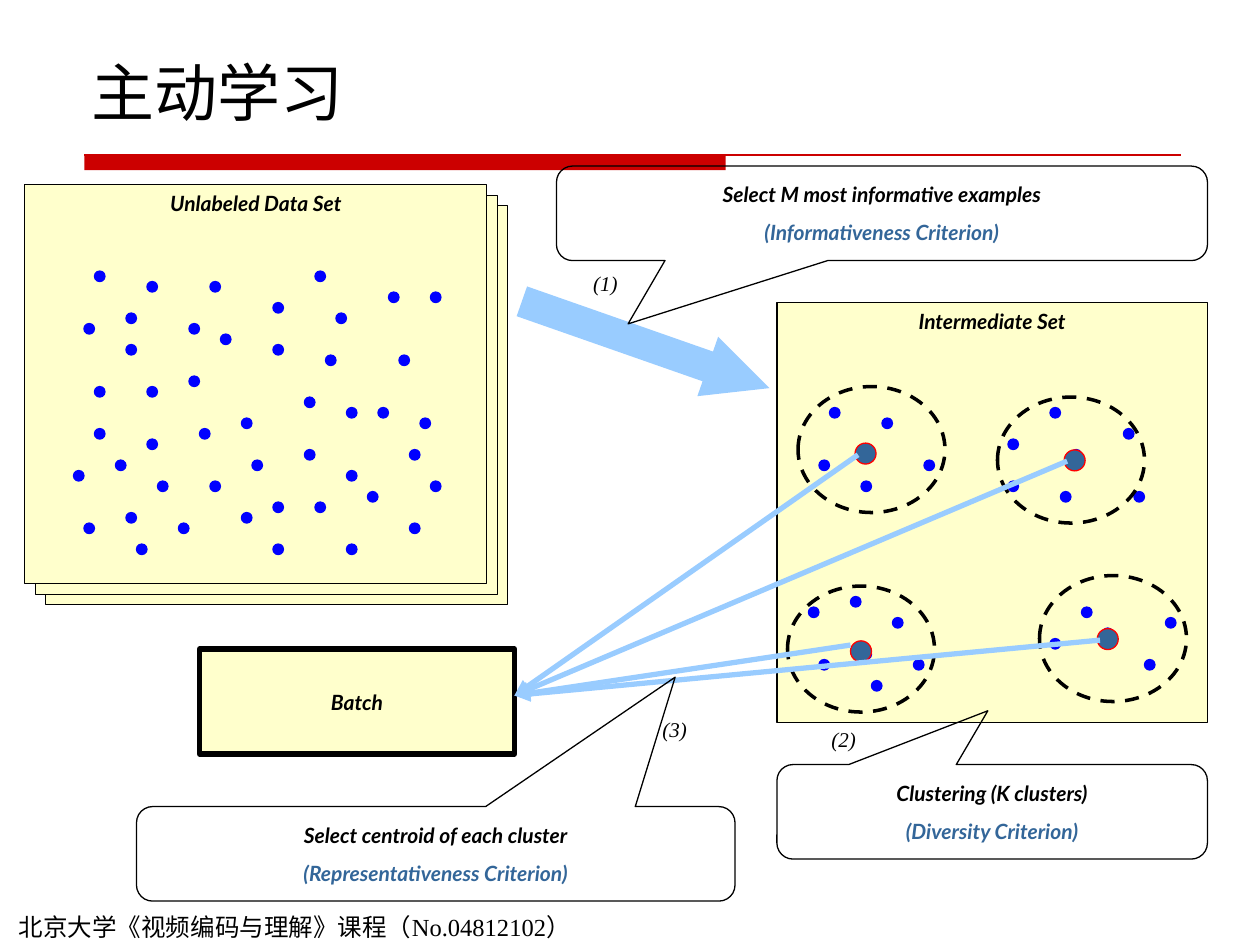
from lxml.etree import SubElement
from pptx import Presentation
from pptx.dml.color import RGBColor
from pptx.enum.dml import MSO_LINE
from pptx.enum.shapes import MSO_CONNECTOR, MSO_SHAPE
from pptx.enum.text import MSO_ANCHOR, PP_ALIGN
from pptx.oxml.ns import qn
from pptx.util import Pt

COLORS = {
    "red": "CC0000", "cream": "FFFFCC", "black": "000000", "dot": "0000FF",
    "steel": "336699", "ring": "FF0000", "sky": "99CCFF",
}
HEADING = {"name": "Lato", "size": Pt(12), "bold": True, "italic": True}
STEP = {"name": "Times New Roman", "size": Pt(12), "italic": True}
TITLE = {"name": "Times New Roman", "size": Pt(36)}
FOOTER = {"name": "Times New Roman", "size": Pt(14)}

prs = Presentation()
prs.slide_width, prs.slide_height = Pt(720), Pt(540)
s = prs.slides.add_slide(prs.slide_layouts[6])


def add_shape(kind, box, fill=None, line=None, width=0.75):
    sp = s.shapes.add_shape(kind, *map(Pt, box))
    sp.shadow.inherit = False
    if fill:
        sp.fill.solid()
        sp.fill.fore_color.rgb = RGBColor.from_string(COLORS[fill])
    else:
        sp.fill.background()
    if line:
        sp.line.color.rgb = RGBColor.from_string(COLORS[line])
        sp.line.width = Pt(width)
    else:
        sp.line.fill.background()
    return sp


def write(sp, lines, style, align, anchor):
    tf = sp.text_frame
    tf.word_wrap = True
    tf.vertical_anchor = anchor
    for i, (text, color) in enumerate(lines):
        p = tf.add_paragraph() if i else tf.paragraphs[0]
        p.alignment = align
        p.space_before = Pt(7.5 if i else 0)
        r = p.add_run()
        r.text = text
        for key, value in style.items():
            setattr(r.font, key, value)
        r.font.color.rgb = RGBColor.from_string(COLORS[color])


add_shape(MSO_SHAPE.RECTANGLE, (48.2, 88.5, 366.5, 8.7), "red")
rule = s.shapes.add_connector(MSO_CONNECTOR.STRAIGHT, Pt(48.2), Pt(88.5), Pt(674.6), Pt(88.5))
rule.line.color.rgb = RGBColor.from_string(COLORS["red"])
rule.line.width = Pt(0.75)
SubElement(rule._element.spPr, qn("a:effectLst"))

for offset in (12, 6, 0):
    data_set = add_shape(MSO_SHAPE.RECTANGLE, (14.2 + offset, 105.6 + offset, 264, 228), "cream", "black")
intermediate = add_shape(MSO_SHAPE.RECTANGLE, (444, 172.9, 246, 240), "cream", "black")
for sp, text in ((data_set, "Unlabeled Data Set"), (intermediate, "Intermediate Set")):
    write(sp, [(text, "black")], HEADING, PP_ALIGN.CENTER, MSO_ANCHOR.TOP)

unlabeled_dots = {
    0: (9, 30), 1: (14, 20), 2: (37, 41), 3: (26,), 4: (12, 32), 5: (8, 18),
    6: (21,), 7: (12, 26), 8: (31, 38), 10: (18,), 11: (9, 14), 12: (29,),
    13: (33, 36), 14: (23, 40), 15: (9, 19), 16: (14,), 17: (29, 39),
    18: (11, 24), 19: (7, 33), 20: (15, 20, 41), 21: (35,), 22: (26, 30),
    23: (12, 23), 24: (8, 17, 39), 26: (13, 26, 33),
}
selected_dots = {
    13: (79, 100), 14: (84,), 15: (107,), 16: (96,), 17: (82, 102),
    18: (78, 88), 20: (82, 96), 21: (101, 108), 31: (81,), 32: (77, 103),
    33: (85, 111), 34: (105,), 35: (100,), 36: (82,), 37: (78, 87, 109),
    39: (83,),
}
for dots in (unlabeled_dots, selected_dots):
    for row, columns in dots.items():
        for column in columns:
            add_shape(MSO_SHAPE.OVAL, (6 * column, 154.9 + 6 * row, 6, 6), "dot", "dot")

for x, y in ((456, 220.9), (570, 226.9), (450, 334.9), (594, 328.9)):
    cluster = add_shape(MSO_SHAPE.OVAL, (x, y, 84, 72), None, "black", 2)
    cluster.line.dash_style = MSO_LINE.DASH
for x, y in ((488.6, 253.2), (608.1, 257.1), (486, 366.2), (627, 359.2)):
    add_shape(MSO_SHAPE.OVAL, (x, y, 12, 12), "steel", "ring")

batch = add_shape(MSO_SHAPE.RECTANGLE, (114, 370.9, 180, 60), "cream", "black", 3)
write(batch, [("Batch", "black")], HEADING, PP_ALIGN.CENTER, MSO_ANCHOR.MIDDLE)

for x, y in ((490.3, 259.9), (609.8, 263.5), (486, 368.6), (628.6, 365.8)):
    cx = s.shapes.add_connector(MSO_CONNECTOR.STRAIGHT, Pt(x), Pt(y), Pt(294), Pt(397.4))
    cx.line.color.rgb = RGBColor.from_string(COLORS["sky"])
    cx.line.width = Pt(3)
    SubElement(cx.line._get_or_add_ln(), qn("a:tailEnd"), type="triangle")
    SubElement(cx._element.spPr, qn("a:effectLst"))

arrow = add_shape(MSO_SHAPE.RIGHT_ARROW, (294, 179, 150, 36), "sky")
arrow.rotation = 19.3
arrow.adjustments[0], arrow.adjustments[1] = 0.5, 1.04

callouts = [
    ((444, 436.9, 246, 54), (-0.01, -1.07), "Clustering (K clusters)", "(Diversity Criterion)"),
    ((78, 460.9, 342, 54), (0.4, -1.87), "Select centroid of each cluster", "(Representativeness Criterion)"),
    ((318, 94.9, 372, 54), (-0.39, 1.17), "Select M most informative examples", "(Informativeness Criterion)"),
]
for box, tip, action, criterion in callouts:
    sp = add_shape(MSO_SHAPE.ROUNDED_RECTANGULAR_CALLOUT, box, None, "black")
    for i, value in enumerate((*tip, 0.17)):
        sp.adjustments[i] = value
    write(sp, [(action, "black"), (criterion, "steel")], HEADING, PP_ALIGN.CENTER, MSO_ANCHOR.MIDDLE)

labels = [
    ((45.4, 23.8, 630, 53.3), "主动学习", TITLE, MSO_ANCHOR.BOTTOM),
    ((3.6, 517.7, 356.4, 24.5), "北京大学《视频编码与理解》课程（No.04812102）", FOOTER, MSO_ANCHOR.TOP),
    ((331.9, 151.2, 33.8, 21.6), "(1)", STEP, MSO_ANCHOR.TOP),
    ((468, 411.8, 33.8, 21.6), "(2)", STEP, MSO_ANCHOR.TOP),
    ((371.5, 406.1, 33.8, 21.6), "(3)", STEP, MSO_ANCHOR.TOP),
]
for box, text, style, anchor in labels:
    tb = s.shapes.add_textbox(*map(Pt, box))
    write(tb, [(text, "black")], style, PP_ALIGN.LEFT, anchor)

prs.save("out.pptx")
